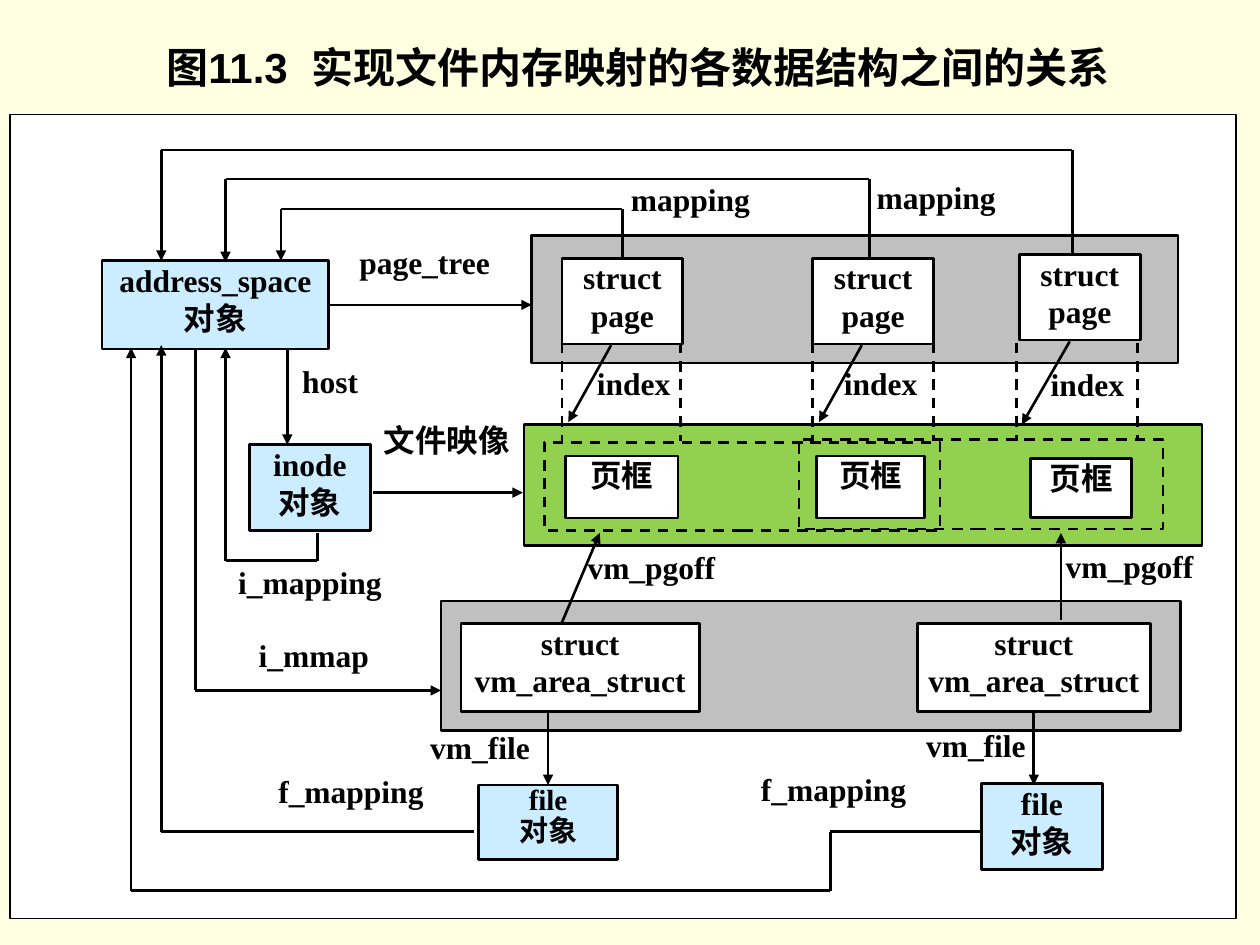
import dataclasses
from typing import Optional

import pptx
import pptx.dml.color
import pptx.enum.dml
import pptx.enum.shapes
import pptx.enum.text
import pptx.oxml
import pptx.oxml.ns
import pptx.util

COLORS = {"cream": "FFFFE1", "white": "FFFFFF", "black": "000000",
          "blue": "CCECFF", "gray": "C0C0C0", "green": "92D050"}
COLUMNS, ROWS = 100, 75
LINE_WIDTH = 1.5
TOP, LEFT, BOTTOM, RIGHT = range(4)
PAGE = ("struct", "page")
AREA = ("struct", "vm_area_struct")

presentation = pptx.Presentation()
presentation.slide_width = pptx.util.Inches(10)
presentation.slide_height = pptx.util.Inches(7.5)
slide = presentation.slides.add_slide(presentation.slide_layouts[5])


@dataclasses.dataclass
class Box:
    """A rectangle placed in grid columns and rows."""
    column: float
    row: float
    width: float
    height: float
    lines: tuple[str, ...] = ()
    fill: Optional[str] = "white"
    outline: float = LINE_WIDTH
    dashed: bool = False
    size: float = 18
    spacing: Optional[float] = None
    name: str = ""


@dataclasses.dataclass
class Label:
    text: str
    column: float
    row: float
    width: float
    height: float = 4.9


@dataclasses.dataclass
class Route:
    """A path of straight segments; start and end name a box and its side."""
    points: tuple[tuple[float, float], ...]
    arrow: bool = True
    dashed: bool = False
    start: Optional[tuple[str, int]] = None
    end: Optional[tuple[str, int]] = None


def across(columns: float) -> int:
    return round(presentation.slide_width * columns / COLUMNS)


def down(rows: float) -> int:
    return round(presentation.slide_height * rows / ROWS)


def color(name: str) -> pptx.dml.color.RGBColor:
    return pptx.dml.color.RGBColor.from_string(COLORS[name])


def write_text(frame, lines, *, size=18, font="Times New Roman", spacing=None,
               align=pptx.enum.text.PP_ALIGN.CENTER, margins=(0, 0)) -> None:
    frame.word_wrap = True
    frame.auto_size = pptx.enum.text.MSO_AUTO_SIZE.NONE
    frame.vertical_anchor = pptx.enum.text.MSO_ANCHOR.TOP
    frame.margin_left = frame.margin_right = pptx.util.Inches(margins[0])
    frame.margin_top = frame.margin_bottom = pptx.util.Inches(margins[1])
    for index, line in enumerate(lines):
        paragraph = frame.add_paragraph() if index else frame.paragraphs[0]
        paragraph.alignment = align
        paragraph.line_spacing = spacing
        run = paragraph.add_run()
        run.text = line
        run.font.size = pptx.util.Pt(size)
        run.font.name = font
        run.font.bold = True
        run.font.color.rgb = color("black")


def style_line(line, width: float, dashed: bool) -> None:
    line.color.rgb = color("black")
    line.width = pptx.util.Pt(width)
    if dashed:
        line.dash_style = pptx.enum.dml.MSO_LINE.DASH


def draw_box(box: Box):
    shape = slide.shapes.add_shape(
        pptx.enum.shapes.MSO_SHAPE.RECTANGLE, across(box.column), down(box.row),
        across(box.width), down(box.height))
    shape.shadow.inherit = False
    if box.fill:
        shape.fill.solid()
        shape.fill.fore_color.rgb = color(box.fill)
    else:
        shape.fill.background()
    if box.outline:
        style_line(shape.line, box.outline, box.dashed)
    else:
        shape.line.fill.background()
    if box.lines:
        write_text(shape.text_frame, box.lines, size=box.size, spacing=box.spacing)
    return shape


def draw_label(label: Label) -> None:
    text_box = slide.shapes.add_textbox(across(label.column), down(label.row),
                                        across(label.width), down(label.height))
    write_text(text_box.text_frame, (label.text,))


def draw_route(route: Route, named_shapes: dict) -> None:
    connectors = []
    for (x1, y1), (x2, y2) in zip(route.points, route.points[1:]):
        connector = slide.shapes.add_connector(
            pptx.enum.shapes.MSO_CONNECTOR.STRAIGHT,
            across(x1), down(y1), across(x2), down(y2))
        style_line(connector.line, LINE_WIDTH, route.dashed)
        pptx.oxml.ns.qn("a:effectLst")
        connector._element.spPr.append(pptx.oxml.parse_xml(
            f"<a:effectLst {pptx.oxml.ns.nsdecls('a')}/>"))
        connectors.append(connector)
    if route.start:
        connectors[0].begin_connect(named_shapes[route.start[0]], route.start[1])
    if route.end:
        connectors[-1].end_connect(named_shapes[route.end[0]], route.end[1])
    if route.arrow:
        connectors[-1].line._get_or_add_ln().append(pptx.oxml.parse_xml(
            f"<a:tailEnd {pptx.oxml.ns.nsdecls('a')} type='triangle'/>"))


BOXES = [
    Box(0.8, 9.1, 97.3, 63.8, outline=0.75),
    Box(42.2, 18.7, 51.3, 10.1, fill="gray"),
    Box(41.6, 33.7, 53.8, 9.6, fill="green"),
    Box(35, 47.7, 58.7, 10.3, fill="gray"),
    Box(8.1, 20.7, 18, 7, ("address_space", "对象"), "blue", name="address_space"),
    Box(19.8, 35.3, 9.6, 6.8, ("inode", "对象"), "blue"),
    Box(38, 62.3, 11, 5.9, ("file", "对象"), "blue", size=16.6, spacing=0.9,
        name="first file"),
    Box(77.9, 62.2, 9.6, 6.8, ("file", "对象"), "blue"),
    Box(44.6, 20.5, 9.6, 6.8, PAGE, name="first page"),
    Box(64.5, 20.5, 9.6, 6.8, PAGE),
    Box(80.9, 20.2, 9.6, 6.8, PAGE),
    Box(44.9, 36.2, 8.9, 4.9, ("页框",)),
    Box(64.8, 36.2, 8.6, 4.9, ("页框",)),
    Box(81.8, 36.4, 8, 4.7, ("页框",)),
    Box(36.6, 49.5, 18.9, 7, AREA),
    Box(72.8, 49.5, 18.5, 7, AREA, name="second area"),
    Box(18.2, 44.7, 12.8, 4.5, ("i_mapping",), outline=0),
    Box(19.3, 50.5, 11.2, 4.4, ("i_mmap",), outline=0),
    Box(19.4, 61.3, 16.9, 4.4, ("f_mapping",), outline=0),
    Box(57.7, 61.1, 16.9, 4.4, ("f_mapping",), outline=0),
    Box(43.2, 35.1, 31.4, 7, fill=None, dashed=True),
    Box(63.4, 34.9, 28.9, 7.1, fill=None, dashed=True),
]

ROUTES = [
    Route(((26.1, 24.2), (42.2, 24.2)), start=("address_space", RIGHT)),
    Route(((22.8, 27.8), (22.8, 35.3))),
    Route(((29.6, 39.1), (41.5, 39.1))),
    Route(((25.2, 42.3), (25.2, 44.5), (17.9, 44.5), (17.9, 27.6))),
    Route(((15.5, 27.8), (15.5, 54.8), (35, 54.8))),
    Route(((37.6, 66), (12.8, 66), (12.8, 27.4))),
    Route(((78, 66), (65.9, 66), (65.9, 70.7), (10.4, 70.7), (10.4, 27.6))),
    Route(((49.4, 20.5), (49.4, 16.6), (22.3, 16.6), (22.3, 20.7)),
          start=("first page", TOP)),
    Route(((69, 20.5), (69, 14.2), (17.9, 14.2), (17.9, 20.8))),
    Route(((85.1, 20.3), (85.1, 11.9), (12.8, 11.9), (12.8, 20.7))),
    Route(((43.5, 56.4), (43.5, 62.3)), end=("first file", TOP)),
    Route(((82.05, 56.5), (82.05, 62.3)), start=("second area", BOTTOM)),
    Route(((44.6, 49.4), (47.6, 42.3))),
    Route(((84.2, 49.2), (84.2, 42.3))),
    Route(((48.5, 27.4), (45.1, 33.5))),
    Route(((68.4, 27.4), (65, 33.5))),
    Route(((84.9, 27.1), (81.1, 33.7))),
]
ROUTES += [Route(((column, 27.2), (column, 35)), arrow=False, dashed=True)
           for column in (44.6, 54, 64.5, 74.1, 80.7, 90.3)]

LABELS = [
    Label("page_tree", 28, 19.3, 11.4),
    Label("文件映像", 30.3, 33.4, 10.3),
    Label("host", 22.2, 28.7, 8),
    Label("vm_file", 31.8, 57.8, 12.6),
    Label("vm_file", 73.2, 57.6, 8.5),
    Label("vm_pgoff", 44.9, 43.5, 13.6),
    Label("vm_pgoff", 83.9, 43.4, 11.5),
    Label("mapping", 48.4, 14.3, 12.8),
    Label("mapping", 67.3, 14.1, 14),
    Label("index", 46.3, 28.9, 8),
    Label("index", 65.9, 28.9, 8),
    Label("index", 82.3, 29, 8),
]


def main() -> None:
    slide.background.fill.solid()
    slide.background.fill.fore_color.rgb = color("cream")
    title = slide.shapes.title
    title.left, title.top = across(12.2), down(2.8)
    title.width, title.height = across(81.9), down(5)
    write_text(title.text_frame, ("图11.3  实现文件内存映射的各数据结构之间的关系",),
               size=24, font="Arial", align=pptx.enum.text.PP_ALIGN.LEFT,
               margins=(0.1, 0.05))
    named_shapes = {box.name: draw_box(box) for box in BOXES}
    for route in ROUTES:
        draw_route(route, named_shapes)
    for label in LABELS:
        draw_label(label)
    presentation.save("out.pptx")


if __name__ == "__main__":
    main()
